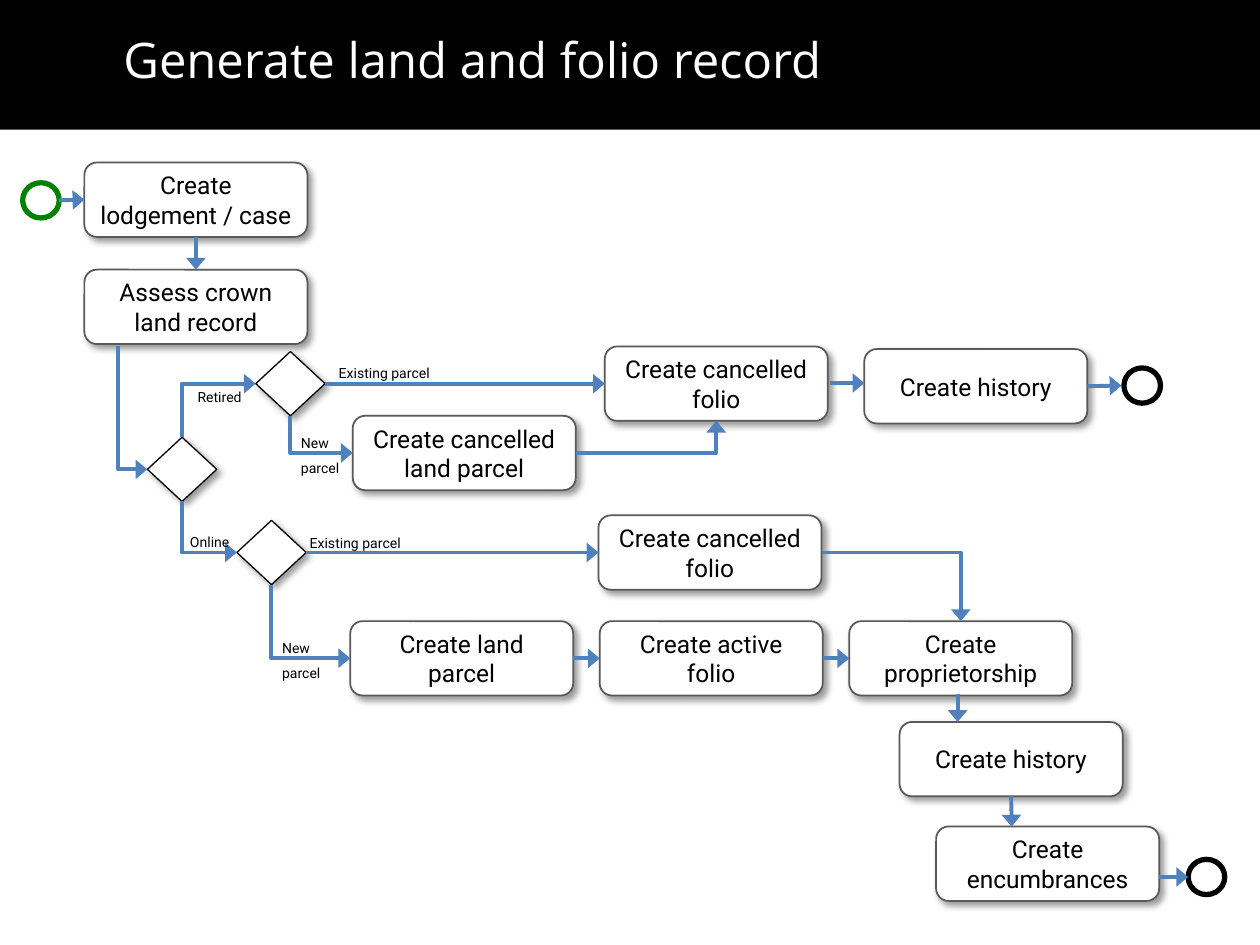
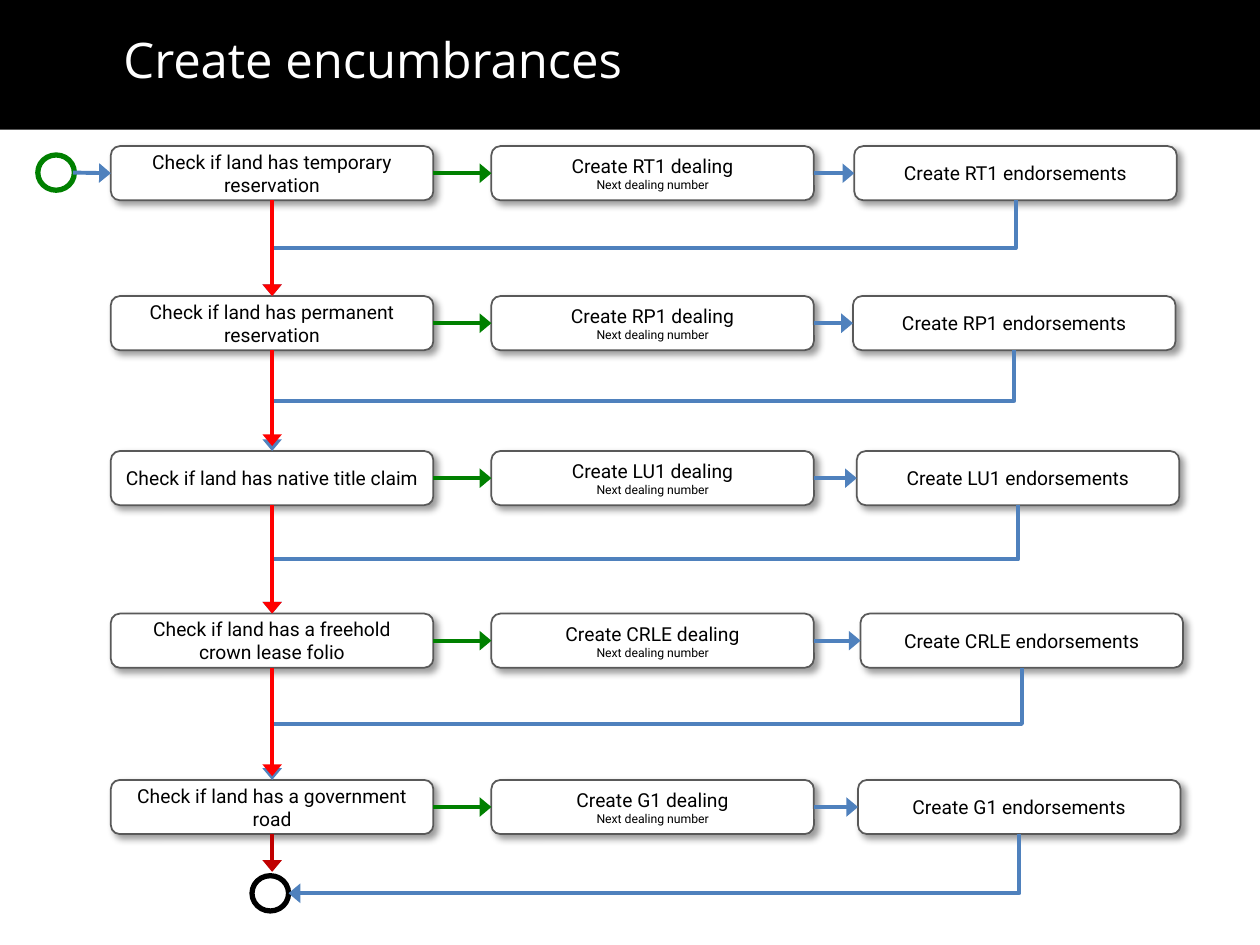
from dataclasses import dataclass
from typing import Any

from lxml import etree
from pptx import Presentation
from pptx.dml.color import RGBColor
from pptx.enum import shapes, text
from pptx.oxml import ns
from pptx.util import Inches, Pt

KIND = shapes.MSO_SHAPE
TOP, LEFT, BOTTOM, RIGHT = range(4)


@dataclass(frozen=True)
class Theme:
    black: str = "000000"
    white: str = "FFFFFF"
    outline: str = "595959"
    flow: str = "4F81BD"
    yes: str = "008000"
    no: str = "FF0000"
    last_no: str = "C00000"
    title_font: str = "Open Sans"
    body_font: str = "Roboto"
    title_size: int = 28
    step_size: int = 14
    check_size: int = 11
    label_size: int = 8
    note_size: int = 7


THEME = Theme()


@dataclass
class Region:
    """Part of a slide; every position in it counts from its left top corner."""
    slide: Any
    left: float
    top: float

    def box(self, left, top, width, height):
        return [Inches(round(v, 2)) for v in
                (self.left + left, self.top + top, width, height)]

    def point(self, x, y):
        return Inches(self.left + x), Inches(self.top + y)


def add_xml(parent, tag, **attributes):
    child = etree.SubElement(parent, ns.qn(tag))
    for key, value in attributes.items():
        child.set(key, str(value))
    return child


def write(shape, *lines, size, sizes=None, font=THEME.body_font, color=THEME.black,
          align=text.PP_ALIGN.LEFT, anchor=text.MSO_ANCHOR.TOP, spacing=None,
          grow=False):
    """Put one paragraph per line; sizes overrides size line by line."""
    frame = shape.text_frame
    frame.word_wrap = True
    frame.vertical_anchor = anchor
    if grow:
        frame.auto_size = text.MSO_AUTO_SIZE.SHAPE_TO_FIT_TEXT
    for i, line in enumerate(lines):
        paragraph = frame.add_paragraph() if i else frame.paragraphs[0]
        paragraph.alignment = align
        if spacing:
            paragraph.line_spacing = spacing
        run = paragraph.add_run()
        run.text = line
        run.font.size = Pt(sizes[i] if sizes else size)
        run.font.name = font
        run.font.color.rgb = RGBColor.from_string(color)


def outlined(region, kind, box, line, width, shadow=False):
    shape = region.slide.shapes.add_shape(kind, *region.box(*box))
    shape.shadow.inherit = False
    shape.fill.solid()
    shape.fill.fore_color.rgb = RGBColor.from_string(THEME.white)
    shape.line.color.rgb = RGBColor.from_string(line)
    shape.line.width = Pt(width)
    if shadow:
        effects = shape.element.spPr.find(ns.qn("a:effectLst"))
        outer = add_xml(effects, "a:outerShdw", blurRad=Pt(4), dist=Pt(3),
                        dir=45 * 60000, algn="tl", rotWithShape=0)
        tint = add_xml(outer, "a:srgbClr", val=THEME.black)
        add_xml(tint, "a:alpha", val=40000)
    return shape


def task(region, left, top, *lines, width=1.77, height=0.59,
         size=THEME.step_size, sizes=None):
    shape = outlined(region, KIND.ROUNDED_RECTANGLE, (left, top, width, height),
                     THEME.outline, 1, shadow=True)
    frame = shape.text_frame
    frame.margin_left = frame.margin_right = Inches(0.09)
    write(shape, *lines, size=size, sizes=sizes, align=text.PP_ALIGN.CENTER,
          anchor=text.MSO_ANCHOR.MIDDLE)
    return shape


def gateway(region, left, top):
    return outlined(region, KIND.FLOWCHART_DECISION, (left, top, 0.55, 0.51),
                    THEME.black, 0.75, shadow=True)


def event(region, left, top, color=THEME.black):
    return outlined(region, KIND.OVAL, (left, top, 0.29, 0.28), color, 3)


def label(region, left, top, *lines, width=1.07, height=0.28):
    shape = region.slide.shapes.add_textbox(*region.box(left, top, width, height))
    write(shape, *lines, size=THEME.label_size, spacing=1.5, grow=True)


def link(region, start, end, route="straight", color=THEME.flow):
    """Draw an arrow between two ends, each (shape, side) or a point (x, y).

    Routes: straight; across (sideways, then up or down); along (up or down,
    then sideways); step (down, sideways, down).
    """
    arrow_end = "a:tailEnd"
    if route == "along":  # the same corner, traced from its other end
        start, end, arrow_end = end, start, "a:headEnd"
    connector_kind = shapes.MSO_CONNECTOR
    connector = region.slide.shapes.add_connector(
        connector_kind.STRAIGHT if route == "straight" else connector_kind.ELBOW,
        0, 0, 0, 0)
    if isinstance(start[0], (int, float)):
        connector.begin_x, connector.begin_y = region.point(*start)
    else:
        connector.begin_connect(*start)
    if isinstance(end[0], (int, float)):
        connector.end_x, connector.end_y = region.point(*end)
    else:
        connector.end_connect(*end)

    properties = connector.element.spPr
    if route in ("across", "along"):
        properties.find(ns.qn("a:prstGeom")).set("prst", "bentConnector2")
    elif route == "step":
        turn_to_vertical(connector)
    connector.line.color.rgb = RGBColor.from_string(color)
    connector.line.width = Pt(2.25)
    add_xml(properties.find(ns.qn("a:ln")), arrow_end, type="triangle", w="lg")
    add_xml(properties, "a:effectLst")


def turn_to_vertical(connector):
    """Turn an elbow that runs down and left so that it leaves downwards."""
    width, height = connector.width, connector.height
    connector.left += (width - height) // 2
    connector.top += (height - width) // 2
    connector.width, connector.height = height, width
    frame = connector.element.spPr.find(ns.qn("a:xfrm"))
    for flip in ("flipH", "flipV"):
        frame.attrib.pop(flip, None)
    frame.set("rot", str(90 * 60000))


def title_band(slide, title):
    region = Region(slide, 0, 0)
    band = slide.shapes.add_shape(KIND.RECTANGLE, *region.box(0, 0, 10, 1.03))
    band.shadow.inherit = False
    band.fill.solid()
    band.fill.fore_color.rgb = RGBColor.from_string(THEME.black)
    band.line.fill.background()
    frame = band.text_frame
    frame.margin_left, frame.margin_right = Inches(0.98), Inches(0.1)
    frame.margin_top = frame.margin_bottom = Inches(0.28)
    write(band, title, size=THEME.title_size, font=THEME.title_font,
          color=THEME.white, grow=True)


def intake(region):
    """Draw the first steps and return the gateway that splits the flow."""
    event(region, 0, 0.16, THEME.yes)
    lodgement = task(region, 0.49, 0, "Create lodgement / case")
    assessment = task(region, 0.49, 0.85, "Assess crown land record")
    status = gateway(region, 0.99, 2.18)
    link(region, (0.29, 0.3), (lodgement, LEFT))
    link(region, (lodgement, BOTTOM), (assessment, TOP))
    link(region, (0.76, 1.46), (status, LEFT), "along")
    return status


def retired_branch(region, status):
    parcel_check = gateway(region, 0, 0.04)
    folio = task(region, 2.77, 0, "Create cancelled folio")
    parcel = task(region, 0.77, 0.55, "Create cancelled land parcel")
    history = task(region, 4.83, 0.02, "Create history")
    event(region, 6.89, 0.17)
    link(region, (status, TOP), (parcel_check, LEFT), "along")
    link(region, (parcel_check, RIGHT), (folio, LEFT))
    link(region, (parcel_check, BOTTOM), (parcel, LEFT), "along")
    link(region, (parcel, RIGHT), (folio, BOTTOM), "across")
    link(region, (4.56, 0.29), (4.83, 0.29))
    link(region, (history, RIGHT), (6.87, 0.31))
    label(region, -0.56, 0.22, "Retired")
    label(region, 0.56, 0.03, "Existing parcel")
    label(region, 0.26, 0.58, "New", "parcel", width=0.79, height=0.48)


def online_branch(region, status):
    parcel_check = gateway(region, 0, 0.04)
    cancelled = task(region, 2.87, 0, "Create cancelled folio")
    parcel, active, owner = [
        task(region, 0.9 + 1.98 * i, 0.84, name) for i, name in enumerate(
            ("Create land parcel", "Create active folio", "Create proprietorship"))]
    history = task(region, 5.26, 1.64, "Create history")
    task(region, 5.55, 2.47, "Create encumbrances")
    event(region, 7.55, 2.73)
    link(region, (status, BOTTOM), (parcel_check, LEFT), "along")
    link(region, (parcel_check, RIGHT), (cancelled, LEFT))
    link(region, (parcel_check, BOTTOM), (parcel, LEFT), "along")
    link(region, (cancelled, RIGHT), (owner, TOP), "across")
    link(region, (parcel, RIGHT), (active, LEFT))
    link(region, (active, RIGHT), (owner, LEFT))
    link(region, (5.72, 1.42), (5.72, 1.64))
    link(region, (history, BOTTOM), (6.15, 2.47))
    link(region, (7.32, 2.87), (7.55, 2.87))
    label(region, -0.47, 0.03, "Online")
    label(region, 0.48, 0.04, "Existing parcel", height=0.3)
    label(region, 0.26, 0.87, "New", "parcel", width=0.79, height=0.48)


def dealing_row(region, condition, code, endorsement_left):
    """Draw one check with its dealing; return the check and its last step."""
    size = {"width": 2.56, "height": 0.43, "size": THEME.check_size}
    check = task(region, 0, 0, f"Check if land has {condition}", **size)
    dealing = task(region, 3.02, 0, f"Create {code} dealing", "Next dealing number",
                   sizes=(THEME.check_size, THEME.note_size), **size)
    endorsement = task(region, endorsement_left, 0, f"Create {code} endorsements",
                       **size)
    link(region, (check, RIGHT), (dealing, LEFT), color=THEME.yes)
    link(region, (dealing, RIGHT), (endorsement, LEFT))
    return check, endorsement


DEALINGS = [  # top, condition, code, left of the endorsement, gap under the red arrow
    (0, "temporary reservation", "RT1", 5.9, 0),
    (1.19, "permanent reservation", "RP1", 5.89, 0.04),
    (2.42, "native title claim", "LU1", 5.92, 0),
    (3.71, "a freehold crown lease folio", "CRLE", 5.95, 0.03),
    (5.03, "a government road", "G1", 5.93, 0),
]


def dealing_checks(region):
    event(region, -0.58, 0.07, THEME.yes)
    event(region, 1.12, 5.79)
    rows = [dealing_row(Region(region.slide, region.left, region.top + top),
                        condition, code, left)
            for top, condition, code, left, _ in DEALINGS]
    link(region, (-0.3, 0.21), (rows[0][0], LEFT))
    for (_, endorsement), (next_check, _) in zip(rows, rows[1:]):
        link(region, (endorsement, BOTTOM), (next_check, TOP), "step")
    for (check, _), row, following in zip(rows, DEALINGS, DEALINGS[1:]):
        link(region, (check, BOTTOM), (1.28, following[0] - row[4]), color=THEME.no)
    last_check, last_endorsement = rows[-1]
    link(region, (last_check, BOTTOM), (1.28, 5.76), color=THEME.last_no)
    link(region, (last_endorsement, BOTTOM), (1.41, 5.93), "along")


def main():
    deck = Presentation()
    deck.slide_width, deck.slide_height = Inches(10), Inches(7.5)
    blank = deck.slide_layouts[6]

    record = deck.slides.add_slide(blank)
    title_band(record, "Generate land and folio record")
    status = intake(Region(record, 0.18, 1.29))
    retired_branch(Region(record, 2.03, 2.75), status)
    online_branch(Region(record, 1.88, 4.09), status)

    encumbrances = deck.slides.add_slide(blank)
    title_band(encumbrances, "Create encumbrances")
    dealing_checks(Region(encumbrances, 0.88, 1.16))
    deck.save("out.pptx")


if __name__ == "__main__":
    main()
